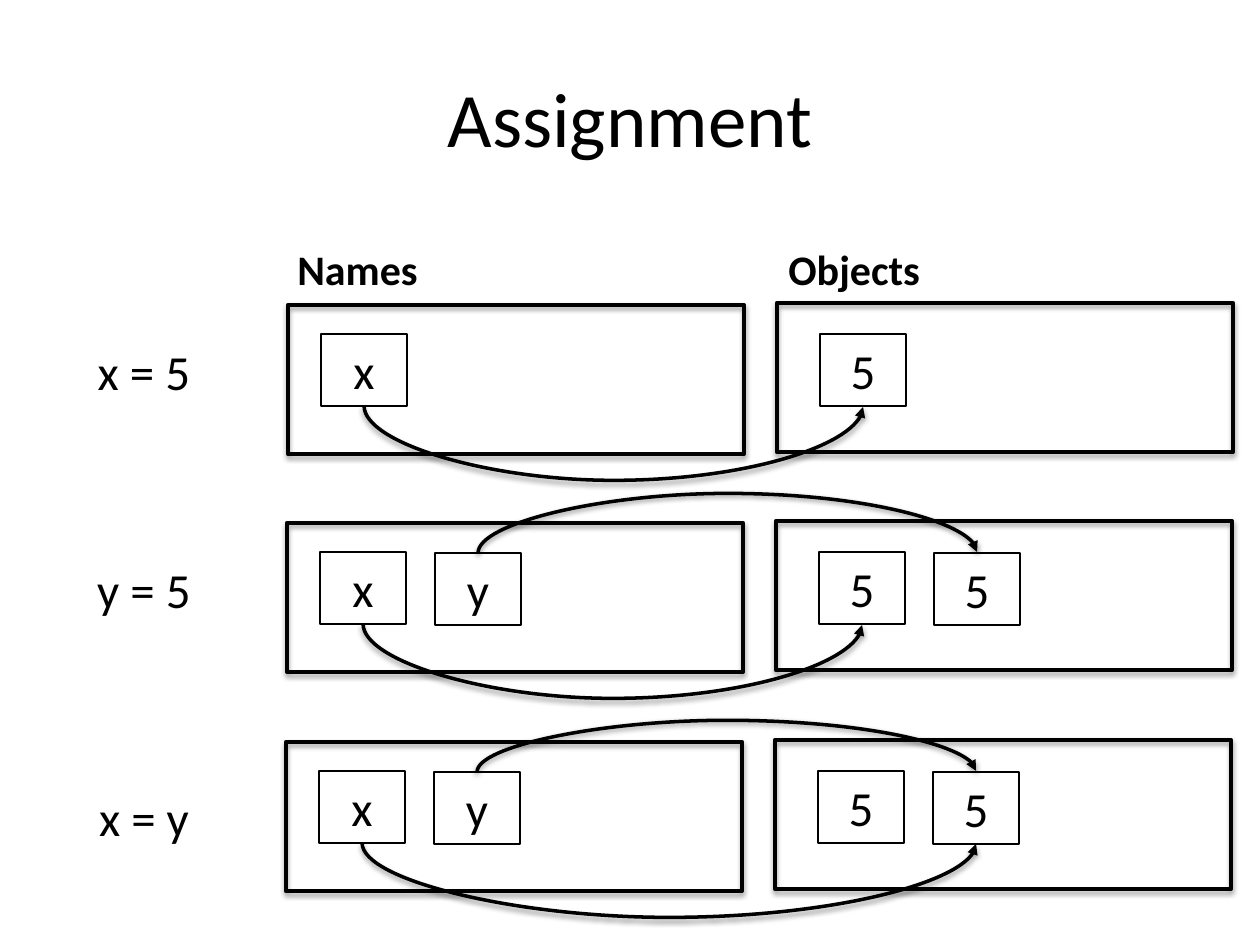
from lxml.etree import SubElement as Sub
from pptx import Presentation
from pptx.dml.color import RGBColor
from pptx.enum.shapes import MSO_CONNECTOR as Conn, MSO_SHAPE as Shape
from pptx.enum.text import MSO_ANCHOR as Anchor, MSO_AUTO_SIZE as Fit, PP_ALIGN as Align
from pptx.oxml.ns import qn
from pptx.util import Pt

SCALE = 914400 / 126
BLACK = "000000"
CELL_W, CELL_H = 86, 72
STEP = 115  # from one cell to the next

# label, label top, panel top, names, objects, arcs (name, object, depth; up if negative)
ROWS = [
    ("x = 5", 335, 305, "x", "5", [(0, 0, 75)]),
    ("y = 5", 553, 523, "xy", "55", [(0, 0, 75), (1, 1, -60)]),
    ("x = y", 781, 742, "xy", "55", [(0, 1, 75), (1, 1, -52)]),
]


def px(n):
    """Turn pixels into EMU."""
    return round(n * SCALE)


def color(text):
    """Make a colour from a hex string."""
    return RGBColor.from_string(text)


def shade(shape, blur, dist, alpha):
    """Give a shape a soft shadow straight below it."""
    props = shape._element.spPr
    effects = Sub(props, qn("a:effectLst"))
    outer = Sub(effects, qn("a:outerShdw"), blurRad=str(Pt(blur)), dist=str(Pt(dist)),
                dir="5400000", rotWithShape="0")
    tint = Sub(outer, qn("a:srgbClr"), val=BLACK)
    Sub(tint, qn("a:alpha"), val=str(alpha * 1000))


def write(shape, text, size, bold=False, align=Align.CENTER, anchor=Anchor.TOP, fit=Fit.NONE):
    """Put one styled line of text into a shape."""
    frame = shape.text_frame
    frame.word_wrap = True
    frame.auto_size = fit
    frame.vertical_anchor = anchor
    para = frame.paragraphs[0]
    para.text = text
    para.alignment = align
    font = para.font
    font.name, font.size, font.bold = "Calibri", Pt(size), bold
    font.color.rgb = color(BLACK)


def label(slide, box, text, size, **style):
    """Add a text box."""
    write(slide.shapes.add_textbox(*map(px, box)), text, size, **style)


def frame(slide, box, width):
    """Add an unfilled rectangle."""
    rect = slide.shapes.add_shape(Shape.RECTANGLE, *map(px, box))
    rect.fill.background()
    rect.line.color.rgb = color(BLACK)
    rect.line.width = Pt(width)
    return rect


def panel(slide, left, top):
    """Add a large frame with a shadow."""
    shade(frame(slide, (left, top, 456, 149), 2.5), 3.1, 1.8, 35)


def cell(slide, left, top, text):
    """Add a small box holding a name or a value."""
    box = frame(slide, (left, top, CELL_W, CELL_H), 1.5)
    box.shadow.inherit = False
    box.shadow._element.remove(box.shadow._element.find(qn("a:effectLst")))
    Sub(box._element.spPr, qn("a:effectLst"))
    write(box, text, 28, fit=Fit.SHAPE_TO_FIT_TEXT)


def arc(slide, start, end, y, depth):
    """Add a curved arrow that bulges down, or up if depth is negative."""
    mid, half = (start + end) / 2, (end - start) / 2
    down = depth > 0
    side = 1 if down else -1
    y += side / 2
    ends = (mid + 0.5, y - side * half, mid - 0.5, y + side * half)
    line = slide.shapes.add_connector(Conn.CURVE, *map(px, ends))
    props = line._element.spPr
    props.find(qn("a:xfrm")).set("rot", "16200000" if down else "5400000")
    geom = props.find(qn("a:prstGeom"))
    guides = geom.find(qn("a:avLst"))
    if guides is None:
        guides = Sub(geom, qn("a:avLst"))
    Sub(guides, qn("a:gd"), name="adj1", fmla=f"val {abs(depth) * 100000}")
    line.line.color.rgb = color(BLACK)
    line.line.width = Pt(2)
    Sub(props.find(qn("a:ln")), qn("a:tailEnd"), type="triangle")
    shade(line, 3.1, 1.6, 38)


def row(slide, num, text, text_top, top, names, values, arcs):
    """Draw one statement with its names, objects and arrows."""
    label(slide, (0, text_top, 288, 72), text, 28, fit=Fit.SHAPE_TO_FIT_TEXT)
    left, right = 288 - num, 777 - num
    panel(slide, left, top)
    panel(slide, right, top - 2)
    first = top + 29
    starts = (left + 33, right + 43)
    for start, items in zip(starts, (names, values)):
        for i, item in enumerate(items):
            cell(slide, start + i * STEP, first + i, item)
    for name, value, depth in arcs:
        tip, end = (start + i * STEP + CELL_W / 2
                    for start, i in zip(starts, (name, value)))
        arc(slide, tip, end, first + (CELL_H if depth > 0 else 1), depth)


def main():
    """Build the slide and save it."""
    deck = Presentation()
    deck.slide_width, deck.slide_height = px(1260), px(945)
    slide = deck.slides.add_slide(deck.slide_layouts[6])
    label(slide, (63, 38, 1134, 157), "Assignment", 44, anchor=Anchor.MIDDLE)
    for left, text in ((285, "Names"), (776, "Objects")):
        label(slide, (left, 212, 456, 88), text, 24, bold=True,
              align=Align.LEFT, anchor=Anchor.BOTTOM)
    for num, parts in enumerate(ROWS):
        row(slide, num, *parts)
    deck.save("out.pptx")


main()
